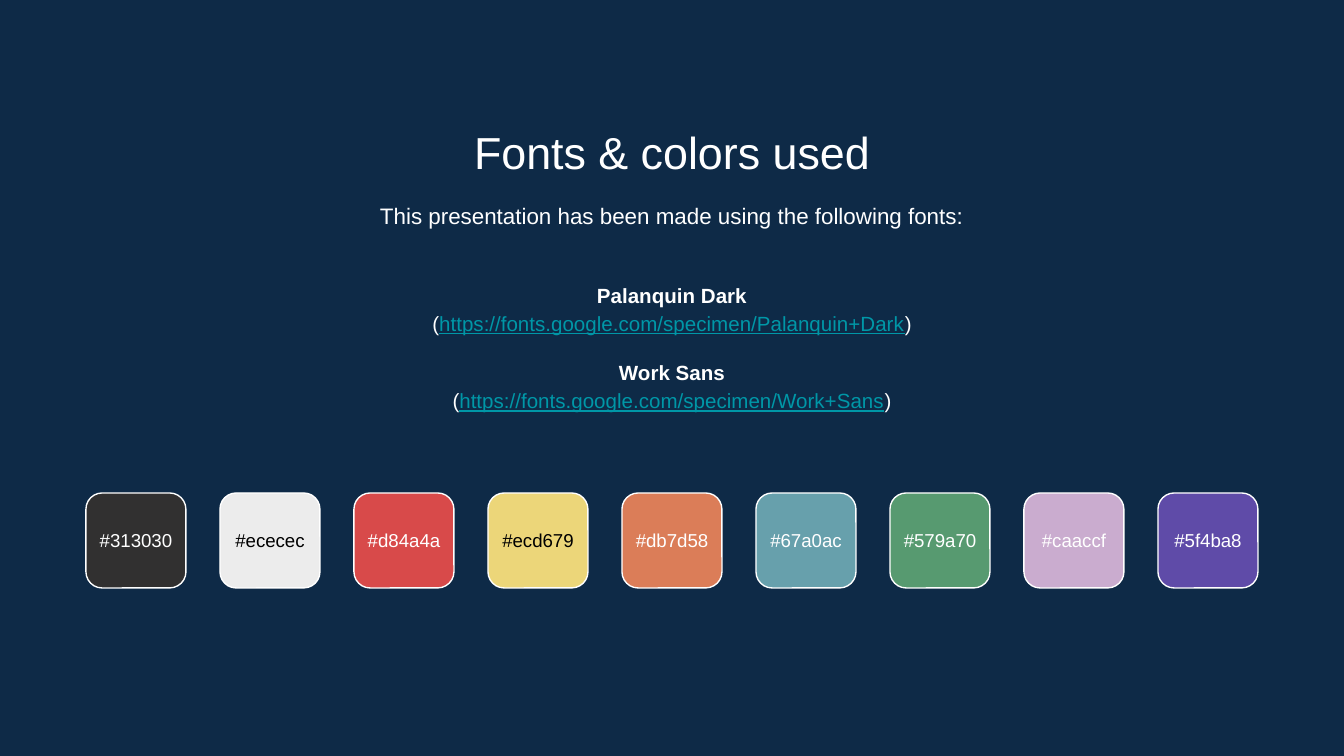
import dataclasses
import typing

import pptx
import pptx.dml.color
import pptx.enum.shapes
import pptx.enum.text
import pptx.util

SCALE = 914400 / 134.4
WHITE = "FFFFFF"
BLACK = "000000"
TEAL = "0097A7"
NAVY = "0E2A47"


@dataclasses.dataclass
class Run:
    text: str
    size: int
    hue: str = WHITE
    bold: bool = False
    line: bool = False


@dataclasses.dataclass
class Para:
    runs: list[Run]
    gap: int = 0


@dataclasses.dataclass
class Box:
    left: int
    top: int
    width: int
    height: int


@dataclasses.dataclass
class Swatch:
    hue: str
    ink: str = WHITE


def px(count: int) -> pptx.util.Emu:
    return pptx.util.Emu(round(count * SCALE))


def place(box: Box) -> tuple[pptx.util.Emu, ...]:
    return px(box.left), px(box.top), px(box.width), px(box.height)


def paint(fill: typing.Any, hue: str) -> None:
    fill.solid()
    fill.fore_color.rgb = pptx.dml.color.RGBColor.from_string(hue.upper())


def write(slide: typing.Any, box: Box, paras: list[Para], lead: float = 1.0,
          middle: bool = False, inset: int = 13) -> None:
    frame = slide.shapes.add_textbox(*place(box)).text_frame
    frame.word_wrap = True
    frame.margin_left = frame.margin_right = px(inset)
    frame.margin_top = frame.margin_bottom = px(13)
    anchor = pptx.enum.text.MSO_ANCHOR
    frame.vertical_anchor = anchor.MIDDLE if middle else anchor.TOP
    for index, para in enumerate(paras):
        line = frame.add_paragraph() if index else frame.paragraphs[0]
        line.alignment = pptx.enum.text.PP_ALIGN.CENTER
        line.line_spacing = lead
        if para.gap:
            line.space_before = pptx.util.Pt(para.gap)
        for run in para.runs:
            part = line.add_run()
            part.text = run.text
            part.font.name = "Arial"
            part.font.size = pptx.util.Pt(run.size)
            part.font.bold = run.bold
            part.font.underline = run.line
            paint(part.font.fill, run.hue)


def entry(name: str, link: str, gap: int = 0) -> list[Para]:
    return [
        Para([Run(name, 11, bold=True)], gap),
        Para([Run("(", 11), Run(link, 11, TEAL, line=True), Run(")", 11)]),
    ]


def draw(slide: typing.Any, left: int, swatch: Swatch) -> None:
    kind = pptx.enum.shapes.MSO_SHAPE.ROUNDED_RECTANGLE
    tile = slide.shapes.add_shape(kind, *place(Box(left, 493, 100, 95)))
    tile.adjustments[0] = 0.17
    tile.shadow.inherit = False
    paint(tile.fill, swatch.hue)
    paint(tile.line.fill, WHITE)
    tile.line.width = pptx.util.Pt(0.75)
    label = Para([Run("#" + swatch.hue, 10, swatch.ink)])
    write(slide, Box(left, 513, 100, 55), [label], middle=True, inset=0)


def main() -> None:
    deck = pptx.Presentation()
    deck.slide_width, deck.slide_height = px(1344), px(756)
    slide = deck.slides.add_slide(deck.slide_layouts[6])
    paint(slide.background.fill, NAVY)

    write(slide, Box(154, 112, 1036, 71), [Para([Run("Fonts & colors used", 24)])])
    intro = "This presentation has been made using the following fonts:"
    write(slide, Box(154, 185, 1036, 64), [Para([Run(intro, 12)])], 1.15)
    site = "https://fonts.google.com/specimen/"
    fonts = entry("Palanquin Dark", site + "Palanquin+Dark")
    fonts += entry("Work Sans", site + "Work+Sans", 11)
    write(slide, Box(154, 254, 1036, 184), fonts, 1.15, middle=True)

    swatches = [
        Swatch("313030"), Swatch("ececec", BLACK), Swatch("d84a4a"),
        Swatch("ecd679", BLACK), Swatch("db7d58"), Swatch("67a0ac"),
        Swatch("579a70"), Swatch("caaccf"), Swatch("5f4ba8"),
    ]
    for index, swatch in enumerate(swatches):
        draw(slide, 86 + 134 * index, swatch)
    deck.save("out.pptx")


if __name__ == "__main__":
    main()
